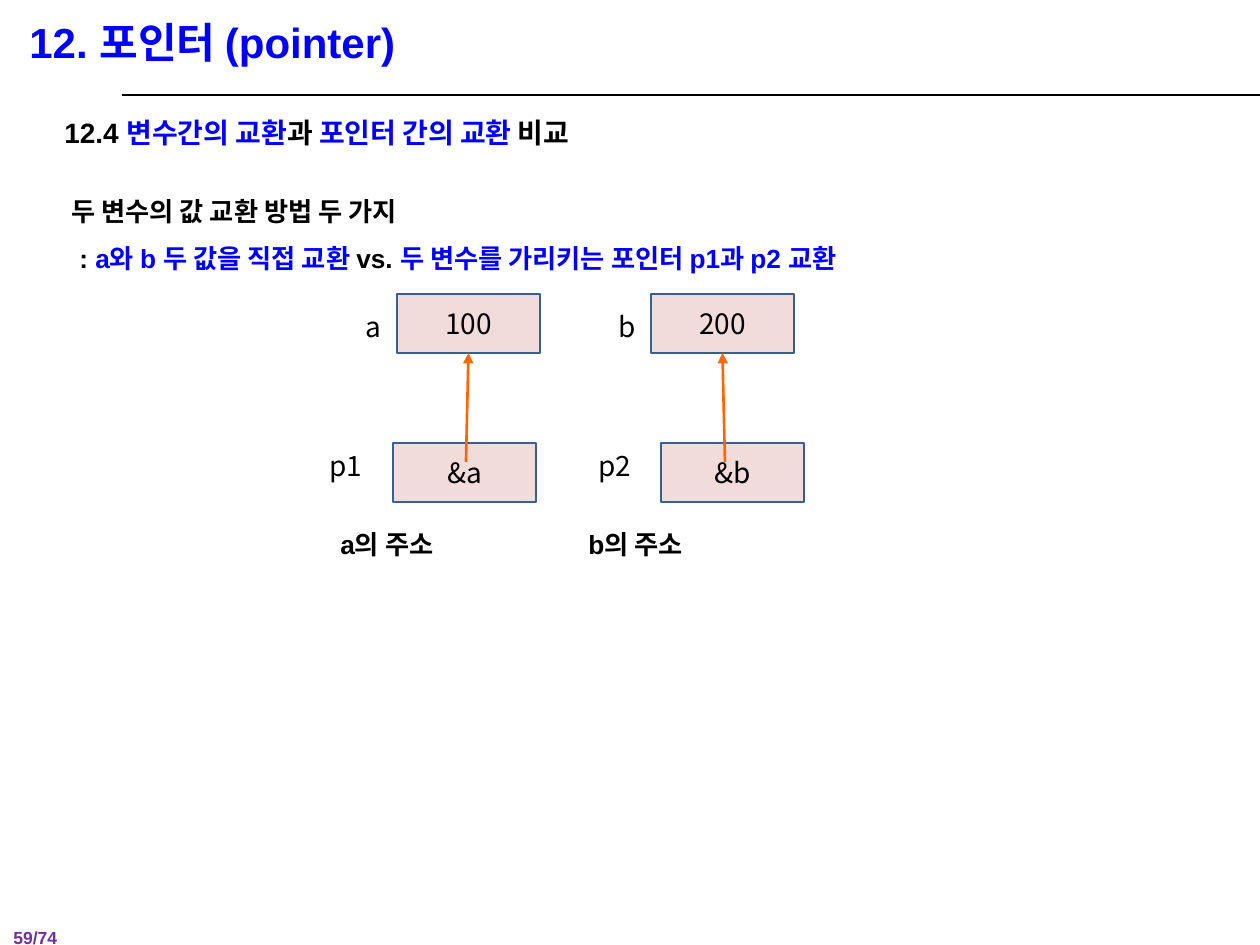
from dataclasses import dataclass

from lxml import etree
from pptx import Presentation
from pptx.dml.color import RGBColor
from pptx.enum.shapes import MSO_CONNECTOR, MSO_SHAPE
from pptx.enum.text import MSO_ANCHOR, PP_ALIGN
from pptx.oxml.ns import qn
from pptx.util import Emu, Pt

STRAIGHT = MSO_CONNECTOR.STRAIGHT
RECTANGLE = MSO_SHAPE.RECTANGLE
TOP, MIDDLE = MSO_ANCHOR.TOP, MSO_ANCHOR.MIDDLE
CENTER = PP_ALIGN.CENTER
EMU_PER_PX = 914400 // 126
BOTTOM_SITE = 2


@dataclass(frozen=True)
class Theme:
    latin: str = "Arial"
    korean: str = "Noto Sans CJK KR"
    black: str = "000000"
    blue: str = "0000FF"
    purple: str = "7030A0"
    box_fill: str = "F2DCDB"
    box_line: str = "3A5F8C"
    arrow: str = "FF6600"
    title: int = 24
    heading: int = 16
    body: int = 15
    page: int = 10


THEME = Theme()


def px(n):
    return Emu(n * EMU_PER_PX)


def rgb(value):
    return RGBColor.from_string(value)


def add_run(p, text, size, color, font=THEME.latin, bold=True):
    r = p.add_run()
    r.text = text
    r.font.size = Pt(size)
    r.font.bold = bold
    r.font.name = font
    r.font.color.rgb = rgb(color)
    ea = etree.SubElement(r._r.get_or_add_rPr(), qn("a:ea"))
    ea.set("typeface", THEME.korean)


def add_box(slide, x, y, w, h, anchor=TOP, wrap=True):
    """Add an empty text box and return its text frame."""
    tf = slide.shapes.add_textbox(px(x), px(y), px(w), px(h)).text_frame
    tf.word_wrap = wrap
    tf.vertical_anchor = anchor
    return tf


def add_label(slide, text, x, y, w, h, size, color, **style):
    tf = add_box(slide, x, y, w, h, MIDDLE, wrap=False)
    add_run(tf.paragraphs[0], text, size, color, **style)


def add_cell(slide, name, value, x, y, name_x, name_y):
    """Draw a memory cell with the name of its variable on the left."""
    s = slide.shapes.add_shape(RECTANGLE, px(x), px(y), px(143), px(59))
    s.shadow.inherit = False
    s.fill.solid()
    s.fill.fore_color.rgb = rgb(THEME.box_fill)
    s.line.color.rgb = rgb(THEME.box_line)
    s.line.width = Pt(1)
    s.text_frame.vertical_anchor = MIDDLE
    p = s.text_frame.paragraphs[0]
    p.alignment = CENTER
    plain = {"font": THEME.korean, "bold": False}
    add_run(p, value, THEME.heading, THEME.black, **plain)
    add_label(slide, name, name_x, name_y, 60, 47, THEME.heading, THEME.black, **plain)
    return s


def add_line(slide, x1, y1, x2, y2, color, width):
    line = slide.shapes.add_connector(STRAIGHT, px(x1), px(y1), px(x2), px(y2))
    line.line.color.rgb = rgb(color)
    line.line.width = Pt(width)
    etree.SubElement(line._element.spPr, qn("a:effectLst"))
    return line


def add_pointer(slide, x, y, target):
    """Draw an arrow from a pointer cell to the bottom of its target."""
    arrow = add_line(slide, x, y, x, y, THEME.arrow, 1.5)
    arrow.end_connect(target, BOTTOM_SITE)
    tail = etree.SubElement(arrow.line._get_or_add_ln(), qn("a:tailEnd"))
    tail.set("type", "triangle")


def add_explanation(slide):
    black, blue = THEME.black, THEME.blue
    lines = [
        (THEME.heading, 0, 0, [("12.4 ", black), ("변수간의 교환", blue), ("과 ", black),
                               ("포인터 간의 교환 ", blue), ("비교", black)]),
        (THEME.body, 7, 17, [("두 변수의 값 교환 방법 두 가지", black)]),
        (THEME.body, 15, 0, [(": ", black), ("a와 b 두 값을 직접 교환 ", blue), ("vs. ", black),
                             ("두 변수를 가리키는 포인터 p1과 p2 교환", blue)]),
    ]
    tf = add_box(slide, 52, 93, 1144, 190)
    for i, (size, indent, gap, runs) in enumerate(lines):
        p = tf.add_paragraph() if i else tf.paragraphs[0]
        p.line_spacing = 1.5
        if gap:
            p.space_before = Pt(gap)
        if indent:
            p._p.get_or_add_pPr().set("marL", str(px(indent)))
        for text, color in runs:
            add_run(p, text, size, color)


def add_diagram(slide):
    columns = [
        ("a", "100", 397, 353, "p1", "&a", 393, 317, 466, 328),
        ("b", "200", 651, 606, "p2", "&b", 661, 586, 725, 576),
    ]
    for (var, value, var_x, var_name_x, ptr, address, ptr_x, ptr_name_x,
         arrow_x, note_x) in columns:
        target = add_cell(slide, var, value, var_x, 294, var_name_x, 303)
        add_cell(slide, ptr, address, ptr_x, 443, ptr_name_x, 442)
        add_pointer(slide, arrow_x, 462, target)
        add_label(slide, f"{var}의 주소", note_x, 522, 130, 44, THEME.body, THEME.black)


def main():
    prs = Presentation()
    prs.slide_width, prs.slide_height = px(1260), px(945)
    slide = prs.slides.add_slide(prs.slide_layouts[6])
    add_label(slide, "59/74", 1, 920, 93, 34, THEME.page, THEME.purple)
    add_line(slide, 122, 95, 1260, 95, THEME.black, 0.75)
    add_explanation(slide)
    add_label(slide, "12. 포인터 (pointer)", 17, 10, 1168, 64, THEME.title, THEME.blue)
    add_diagram(slide)
    prs.save("out.pptx")


if __name__ == "__main__":
    main()
